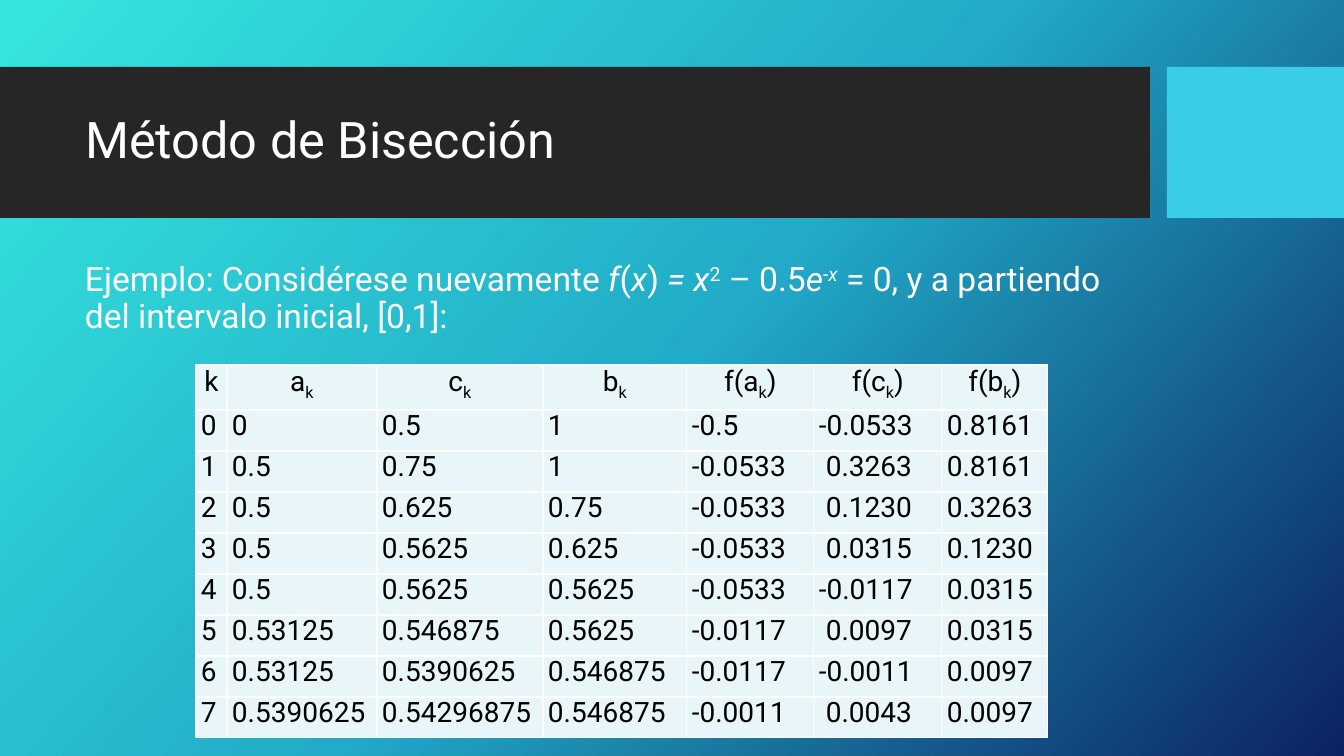
from copy import deepcopy

from lxml.etree import SubElement
from pptx import Presentation
from pptx.dml.color import RGBColor
from pptx.enum.shapes import MSO_SHAPE
from pptx.enum.text import MSO_ANCHOR, MSO_AUTO_SIZE, PP_ALIGN
from pptx.oxml.ns import qn
from pptx.util import Emu, Pt


def px(count):
    """Length in EMU at 100.8 px to the inch."""
    return Emu(round(count * 914400 / 100.8))


def add_runs(para, runs, size, color):
    """Add (text, style) runs; style holds i for italic, ^ for superscript, _ for subscript."""
    for text, style in runs:
        span = para.add_run()
        span.text = text
        font = span.font
        font.name, font.size, font.italic = "Roboto", Pt(size), "i" in style
        font.color.rgb = RGBColor.from_string(color)
        if "^" in style:
            font._element.set("baseline", "30000")
        if "_" in style:
            font._element.set("baseline", "-25000")


deck = Presentation()
deck.slide_width, deck.slide_height = px(1344), px(756)
slide = deck.slides.add_slide(deck.slide_layouts[5])

# Diagonal background gradient
background = slide.background.fill
background.gradient()
background.gradient_angle = 360 - 42
first_stop = slide._element.xpath(".//a:gsLst/a:gs")[0]
first_stop.addnext(deepcopy(first_stop))
gradient = [(0, "36E6DD"), (0.5, "21ABC8"), (1, "0C2263")]
for stop, (position, color) in zip(background.gradient_stops, gradient):
    stop.position = position
    stop.color.rgb = RGBColor.from_string(color)

# Title band and accent block
for left, width, color in [(0, 1150, "262626"), (1167, 177, "39CDE7")]:
    band = slide.shapes.add_shape(MSO_SHAPE.RECTANGLE, px(left), px(67), px(width), px(151))
    band.shadow.inherit = False
    band.fill.solid()
    band.fill.fore_color.rgb = RGBColor.from_string(color)
    band.line.fill.background()

# Title, brought in front of its band
title = slide.shapes.title
slide.shapes._spTree.append(title._element)
title.left, title.top, title.width, title.height = px(75), px(83), px(1059), px(119)
title.text_frame.vertical_anchor = MSO_ANCHOR.MIDDLE
title.text_frame.auto_size = MSO_AUTO_SIZE.NONE
para = title.text_frame.paragraphs[0]
para.alignment = PP_ALIGN.LEFT
para.line_spacing = 0.9
add_runs(para, [("Método de Bisección", "")], 36, "FFFFFF")

# Example statement
box = slide.shapes.add_textbox(px(75), px(258), px(1059), px(397))
box.text_frame.word_wrap = True
para = box.text_frame.paragraphs[0]
para.line_spacing = 0.9
para.space_before = Pt(10)
statement = [
    ("Ejemplo: Considérese nuevamente ", ""), ("f", "i"), ("(", ""), ("x", "i"), (")", ""),
    (" = x", "i"), ("2", "^"), (" – 0.5", ""), ("e", "i"), ("-x", "i^"),
    (" = 0, y a partiendo del intervalo inicial, [0,1]:", ""),
]
add_runs(para, statement, 24, "FFFFFF")

# Iteration table
header = [[("k", "")]]
header += [[(name, ""), ("k", "_")] for name in "acb"]
header += [[(f"f({name}", ""), ("k", "_"), (")", "")] for name in "acb"]
iterations = [
    ["0", "0", "0.5", "1", "-0.5", "-0.0533", "0.8161"],
    ["1", "0.5", "0.75", "1", "-0.0533", " 0.3263", "0.8161"],
    ["2", "0.5", "0.625", "0.75", "-0.0533", " 0.1230", "0.3263"],
    ["3", "0.5", "0.5625", "0.625", "-0.0533", " 0.0315", "0.1230"],
    ["4", "0.5", "0.5625", "0.5625", "-0.0533", "-0.0117", "0.0315"],
    ["5", "0.53125", "0.546875", "0.5625", "-0.0117", " 0.0097", "0.0315"],
    ["6", "0.53125", "0.5390625", "0.546875", "-0.0117", "-0.0011", "0.0097"],
    ["7", "0.5390625", "0.54296875", "0.546875", "-0.0011", " 0.0043", "0.0097"],
]
rows = [header] + [[[(value, "")] for value in values] for values in iterations]
widths = [31, 150, 166, 144, 127, 128, 106]
heights = [45] + [41] * len(iterations)
table = slide.shapes.add_table(
    len(rows), len(widths), px(196), px(365), px(sum(widths)), px(sum(heights))
).table
table.first_row = table.horz_banding = False
for column, width in zip(table.columns, widths):
    column.width = px(width)
for row, height in zip(table.rows, heights):
    row.height = px(height)

for row_index, row in enumerate(rows):
    for column_index, runs in enumerate(row):
        cell = table.cell(row_index, column_index)
        cell.margin_left = cell.margin_right = px(5)
        cell.margin_top = cell.margin_bottom = 0
        for side in ("lnL", "lnR", "lnT", "lnB"):
            border = SubElement(cell._tc.get_or_add_tcPr(), qn(f"a:{side}"), w=str(Pt(1)))
            SubElement(SubElement(border, qn("a:solidFill")), qn("a:srgbClr"), val="FFFFFF")
        cell.fill.solid()
        cell.fill.fore_color.rgb = RGBColor.from_string("E8F6FA")
        para = cell.text_frame.paragraphs[0]
        if row_index == 0:
            para.alignment = PP_ALIGN.CENTER
        elif column_index == 0:
            para.alignment = PP_ALIGN.JUSTIFY
        else:
            para.alignment = PP_ALIGN.LEFT
        add_runs(para, runs, 20, "000000")

deck.save("out.pptx")
